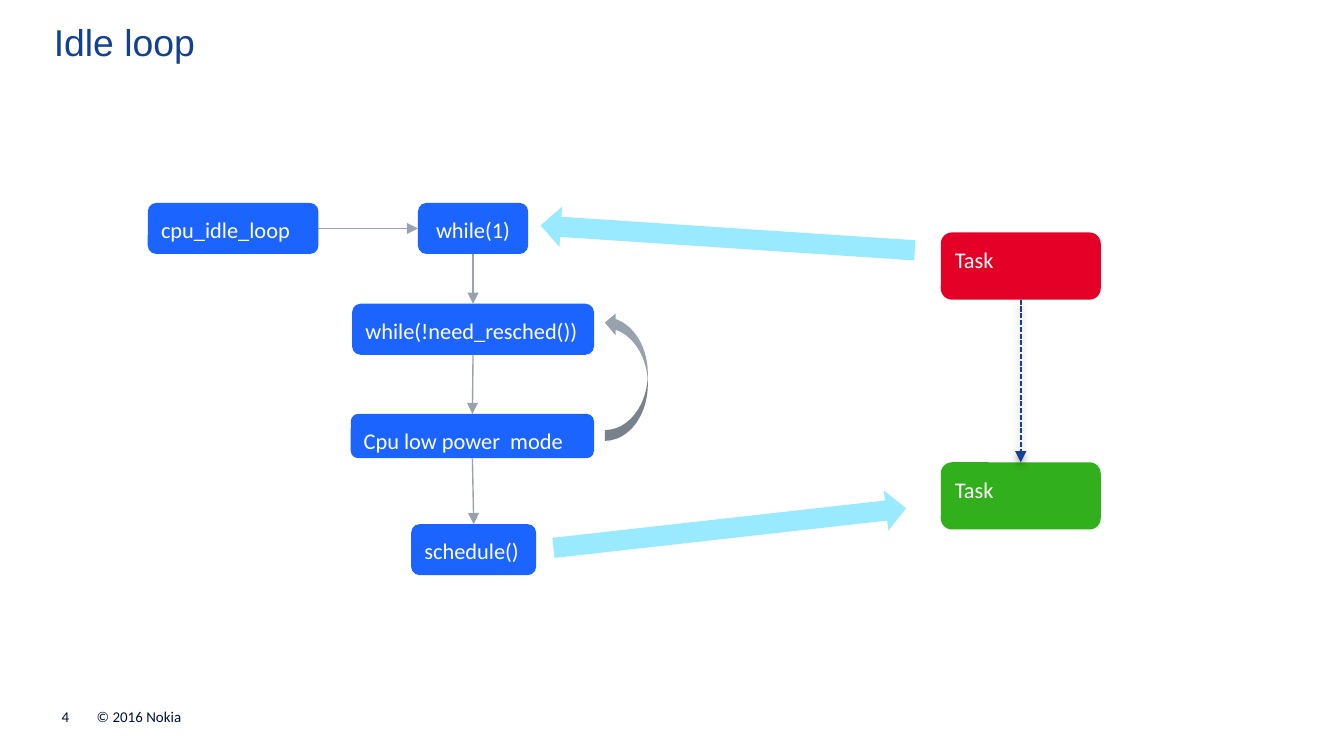
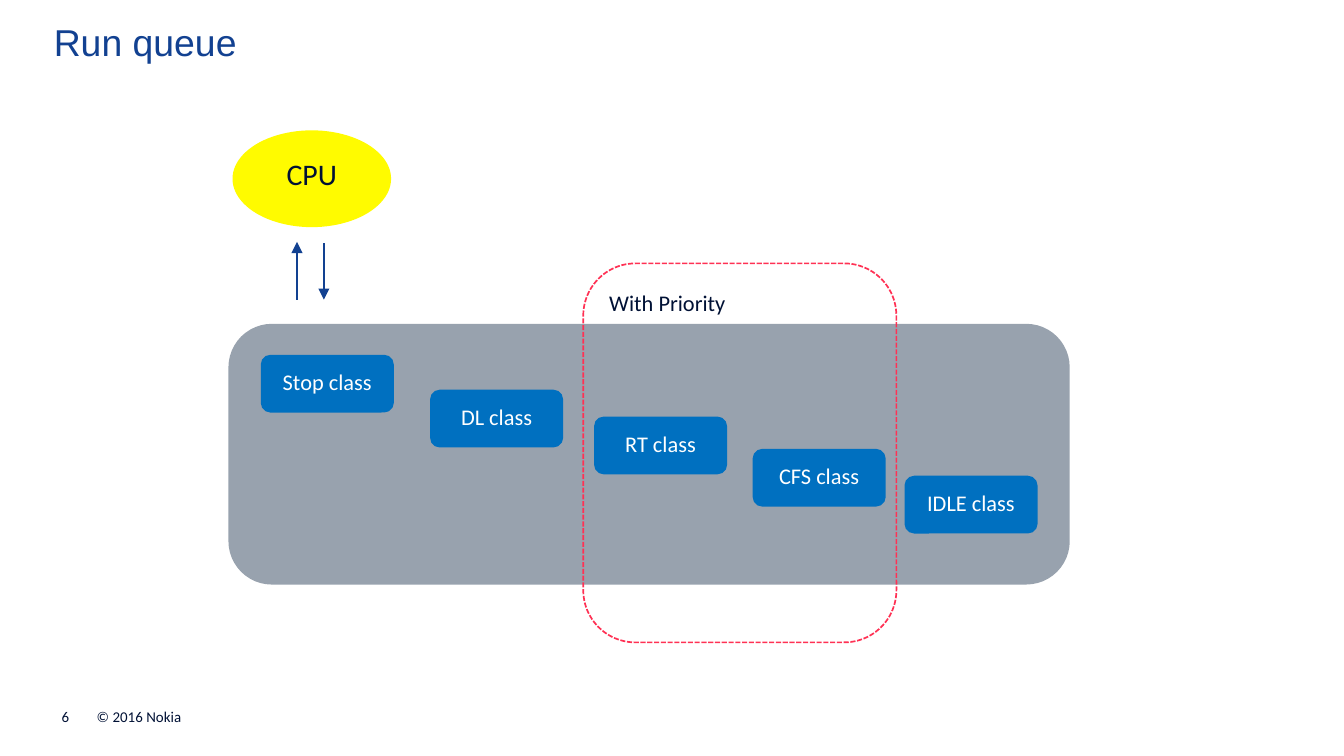
from lxml import etree
from pptx import Presentation
from pptx.dml.color import RGBColor
from pptx.enum.dml import MSO_LINE
from pptx.enum.shapes import MSO_CONNECTOR, MSO_SHAPE
from pptx.enum.text import MSO_ANCHOR, MSO_AUTO_SIZE, PP_ALIGN
from pptx.oxml.ns import qn
from pptx.util import Inches, Pt

ROUND, OVAL = MSO_SHAPE.ROUNDED_RECTANGLE, MSO_SHAPE.OVAL
BLOCK_ARROW, LOOP_ARROW = MSO_SHAPE.RIGHT_ARROW, MSO_SHAPE.CURVED_UP_ARROW
STRAIGHT, DASH = MSO_CONNECTOR.STRAIGHT, MSO_LINE.SQUARE_DOT
LEFT, CENTER = PP_ALIGN.LEFT, PP_ALIGN.CENTER
TOP, BOTTOM = MSO_ANCHOR.TOP, MSO_ANCHOR.BOTTOM
FIT = MSO_AUTO_SIZE.SHAPE_TO_FIT_TEXT
TOP_SITE, LEFT_SITE, BOTTOM_SITE, RIGHT_SITE = range(4)

WIDTH = Inches(10)
HEIGHT = WIDTH * 9 // 16

WHITE = RGBColor(0xFF, 0xFF, 0xFF)
NAVY = RGBColor(0x12, 0x41, 0x91)
INK = RGBColor(0x00, 0x11, 0x35)
BLUE = RGBColor(0x1B, 0x64, 0xFF)
CLASS_BLUE = RGBColor(0x00, 0x70, 0xC0)
GREY = RGBColor(0x98, 0xA2, 0xAE)
SKY = RGBColor(0x99, 0xE9, 0xFF)
RED = RGBColor(0xE4, 0x00, 0x27)
PINK = RGBColor(0xFF, 0x31, 0x54)
GREEN = RGBColor(0x32, 0xAF, 0x1D)
YELLOW = RGBColor(0xFF, 0xFB, 0x00)

# Content: positions are left, top, width, height in inches
COPYRIGHT = "© 2016 Nokia"
IDLE_STEPS = {
    "start": ("cpu_idle_loop", (1.1, 1.51, 1.27, 0.38), BLUE, LEFT),
    "forever": ("while(1)", (3.11, 1.51, 0.82, 0.38), BLUE, CENTER),
    "check": ("while(!need_resched())", (2.62, 2.26, 1.8, 0.38), BLUE, LEFT),
    "sleep": ("Cpu low power  mode", (2.61, 3.08, 1.81, 0.33), BLUE, LEFT),
    "schedule": ("schedule()", (3.06, 3.9, 0.93, 0.38), BLUE, LEFT),
    "old task": ("Task", (7, 1.73, 1.19, 0.5), RED, LEFT),
    "new task": ("Task", (7, 3.44, 1.19, 0.5), GREEN, LEFT),
}
DOWN_FLOW = ["forever", "check", "sleep", "schedule"]
IDLE_ARROWS = [
    (LOOP_ARROW, (4.18, 2.64, 0.96, 0.32), GREY, 270),
    (BLOCK_ARROW, (4.11, 3.78, 2.64, 0.3), SKY, 353.6),
    (BLOCK_ARROW, (4.02, 1.62, 2.79, 0.3), SKY, 183.8),
]
CLASS_SIZE = (0.99, 0.43)
CLASSES = [
    ("Stop class", 1.94, 2.64),
    ("DL class", 3.2, 2.9),
    ("RT class", 4.42, 3.1),
    ("CFS class", 5.6, 3.34),
    ("IDLE class", 6.73, 3.54),
]
CPU_ARROWS = [(2.21, 2.23, 1.8), (2.41, 1.81, 2.23)]  # x, from y, to y


def write(sp, text, size, color, font="Calibri", align=LEFT, anchor=TOP, inset=0.08):
    tf = sp.text_frame
    tf.word_wrap = True
    tf.vertical_anchor = anchor
    tf.margin_left = tf.margin_right = Inches(inset)
    tf.margin_top = tf.margin_bottom = Inches(inset)
    p = tf.paragraphs[0]
    p.text = text
    p.alignment = align
    p.font.size = Pt(size)
    p.font.name = font
    p.font.color.rgb = color


def add_label(s, box, text, size, color, **style):
    sp = s.shapes.add_textbox(*map(Inches, box))
    write(sp, text, size, color, inset=0, **style)
    return sp


def add_block(s, kind, box, fill=None):
    sp = s.shapes.add_shape(kind, *map(Inches, box))
    sp.shadow.inherit = False
    if fill is None:
        sp.fill.background()
    else:
        sp.fill.solid()
        sp.fill.fore_color.rgb = fill
    sp.line.fill.background()
    return sp


def add_arrow(s, color, width=0.75, start=(0, 0), end=(0, 0)):
    line = s.shapes.add_connector(STRAIGHT, *map(Inches, (*start, *end)))
    line.line.color.rgb = color
    line.line.width = Pt(width)
    ln = line.line._get_or_add_ln()
    etree.SubElement(ln, qn("a:tailEnd"), type="triangle")
    etree.SubElement(line._element.spPr, qn("a:effectLst"))
    return line


def link(s, a, a_site, b, b_site, color=GREY, width=0.75):
    line = add_arrow(s, color, width)
    line.begin_connect(a, a_site)
    line.end_connect(b, b_site)
    return line


def add_soft_shadow(line):
    effects = line._element.spPr.find(qn("a:effectLst"))
    shadow = etree.SubElement(effects, qn("a:outerShdw"), blurRad=str(Pt(4)),
                              dist=str(Pt(2)), dir=str(90 * 60000), rotWithShape="0")
    color = etree.SubElement(shadow, qn("a:srgbClr"), val="000000")
    etree.SubElement(color, qn("a:alpha"), val="35000")


def new_slide(prs, title, number):
    s = prs.slides.add_slide(prs.slide_layouts[6])
    for text, left, width in [(COPYRIGHT, 0.72, 1.97), (number, 0.46, 0.16)]:
        sp = add_label(s, (left, 5.27, width, 0.13), text, 8, INK, anchor=BOTTOM)
        sp.text_frame.auto_size = FIT
    add_label(s, (0.4, 0.14, 9.09, 0.34), title, 20, NAVY, font="Arial")
    return s


def build_idle_loop(prs):
    s = new_slide(prs, "Idle loop", "4")
    steps = {}
    for key, (text, box, fill, align) in IDLE_STEPS.items():
        steps[key] = add_block(s, ROUND, box, fill)
        write(steps[key], text, 12, WHITE, align=align)

    # Flow between the steps
    link(s, steps["start"], RIGHT_SITE, steps["forever"], LEFT_SITE)
    for a, b in zip(DOWN_FLOW, DOWN_FLOW[1:]):
        link(s, steps[a], BOTTOM_SITE, steps[b], TOP_SITE)
    for kind, box, fill, angle in IDLE_ARROWS:
        add_block(s, kind, box, fill).rotation = angle

    # Task switch
    switch = link(s, steps["old task"], BOTTOM_SITE, steps["new task"], TOP_SITE, NAVY, 0.9)
    switch.line.dash_style = DASH
    add_soft_shadow(switch)


def build_run_queue(prs):
    s = new_slide(prs, "Run queue", "6")
    cpu = add_block(s, OVAL, (1.73, 0.97, 1.18, 0.72), YELLOW)
    write(cpu, "CPU", 16, INK, align=CENTER)
    add_block(s, ROUND, (1.7, 2.41, 6.26, 1.94), GREY)
    for x, y1, y2 in CPU_ARROWS:
        add_arrow(s, NAVY, start=(x, y1), end=(x, y2))

    # Scheduling classes, highest priority first
    for text, x, y in CLASSES:
        sp = add_block(s, ROUND, (x, y, *CLASS_SIZE), CLASS_BLUE)
        write(sp, text, 12, WHITE, align=CENTER)

    # Frame around the classes with priorities
    frame = add_block(s, ROUND, (4.34, 1.96, 2.33, 2.82))
    frame.line.color.rgb = PINK
    frame.line.width = Pt(0.9)
    frame.line.dash_style = DASH
    write(frame, "With Priority", 12, INK)


def main():
    prs = Presentation()
    prs.slide_width, prs.slide_height = WIDTH, HEIGHT
    build_idle_loop(prs)
    build_run_queue(prs)
    prs.save("out.pptx")


if __name__ == "__main__":
    main()
